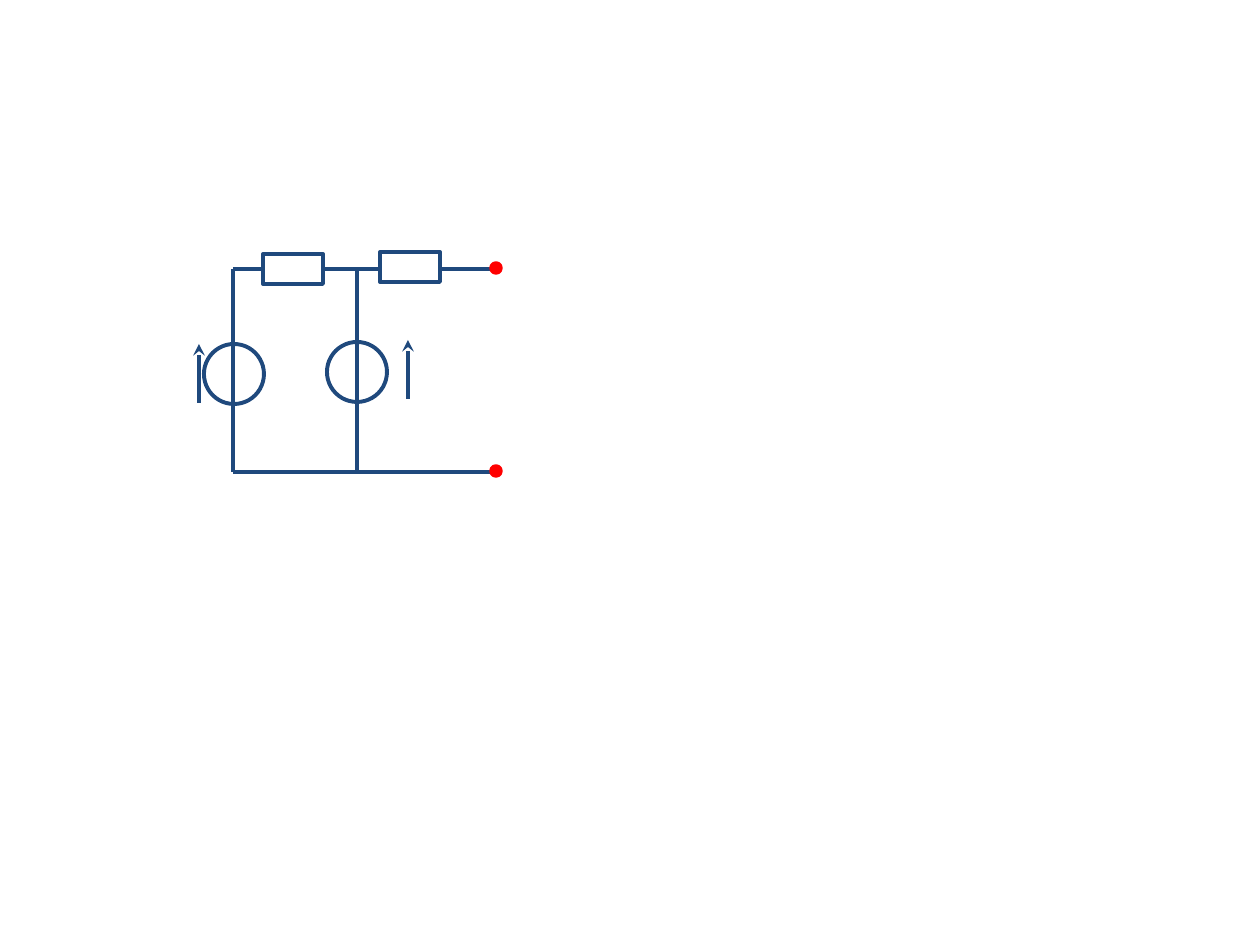
from typing import NamedTuple

from lxml.etree import SubElement
from pptx import Presentation
from pptx.dml.color import RGBColor
from pptx.enum.shapes import MSO_CONNECTOR, MSO_SHAPE
from pptx.oxml.ns import qn
from pptx.slide import Slide
from pptx.util import Emu, Inches, Pt

NAVY = RGBColor(0x1F, 0x49, 0x7D)
RED = RGBColor(0xFF, 0x00, 0x00)
WHITE = RGBColor(0xFF, 0xFF, 0xFF)

PX_PER_INCH = 126
LINE_PT = 2.25
SOURCE_SIZE = 60
RESISTOR_W, RESISTOR_H = 60, 30
TERMINAL_SIZE = 10


class Wire(NamedTuple):
    x1: int
    y1: int
    x2: int
    y2: int
    arrow: bool = False


class Part(NamedTuple):
    kind: MSO_SHAPE
    x: int
    y: int
    w: int
    h: int
    fill: RGBColor = WHITE
    line: RGBColor = NAVY
    line_pt: float = LINE_PT


def px(n: int) -> Emu:
    return Emu(round(n * Inches(1) / PX_PER_INCH))


def source(x: int, y: int) -> Part:
    return Part(MSO_SHAPE.OVAL, x, y, SOURCE_SIZE, SOURCE_SIZE)


def resistor(x: int, y: int) -> Part:
    return Part(MSO_SHAPE.RECTANGLE, x, y, RESISTOR_W, RESISTOR_H)


def terminal(x: int, y: int) -> Part:
    return Part(MSO_SHAPE.OVAL, x, y, TERMINAL_SIZE, TERMINAL_SIZE, RED, RED, 2)


def draw_wire(s: Slide, wire: Wire) -> None:
    ends = (px(n) for n in wire[:4])
    cxn = s.shapes.add_connector(MSO_CONNECTOR.STRAIGHT, *ends)
    cxn.line.color.rgb = NAVY
    cxn.line.width = Pt(LINE_PT)
    if wire.arrow:
        SubElement(cxn.line._get_or_add_ln(), qn("a:tailEnd"), type="stealth")
    SubElement(cxn._element.spPr, qn("a:effectLst"))


def draw_part(s: Slide, part: Part) -> None:
    box = (px(n) for n in (part.x, part.y, part.w, part.h))
    sp = s.shapes.add_shape(part.kind, *box)
    sp.shadow.inherit = False
    sp.fill.solid()
    sp.fill.fore_color.rgb = part.fill
    sp.line.color.rgb = part.line
    sp.line.width = Pt(part.line_pt)


# Back to front: the branch wires run over the sources, the resistors over the rails.
CIRCUIT = [
    Wire(233, 269, 493, 269),
    Wire(501, 472, 233, 472),
    source(204, 344),
    source(327, 342),
    Wire(233, 472, 233, 269),
    Wire(357, 472, 357, 268),
    resistor(263, 254),
    resistor(380, 252),
    terminal(491, 263),
    terminal(491, 466),
    Wire(199, 403, 199, 344, arrow=True),
    Wire(408, 399, 408, 340, arrow=True),
]


def main() -> None:
    prs = Presentation()
    prs.slide_width, prs.slide_height = Inches(10), Inches(7.5)
    s = prs.slides.add_slide(prs.slide_layouts[6])
    for item in CIRCUIT:
        if isinstance(item, Wire):
            draw_wire(s, item)
        else:
            draw_part(s, item)
    prs.save("out.pptx")


if __name__ == "__main__":
    main()
